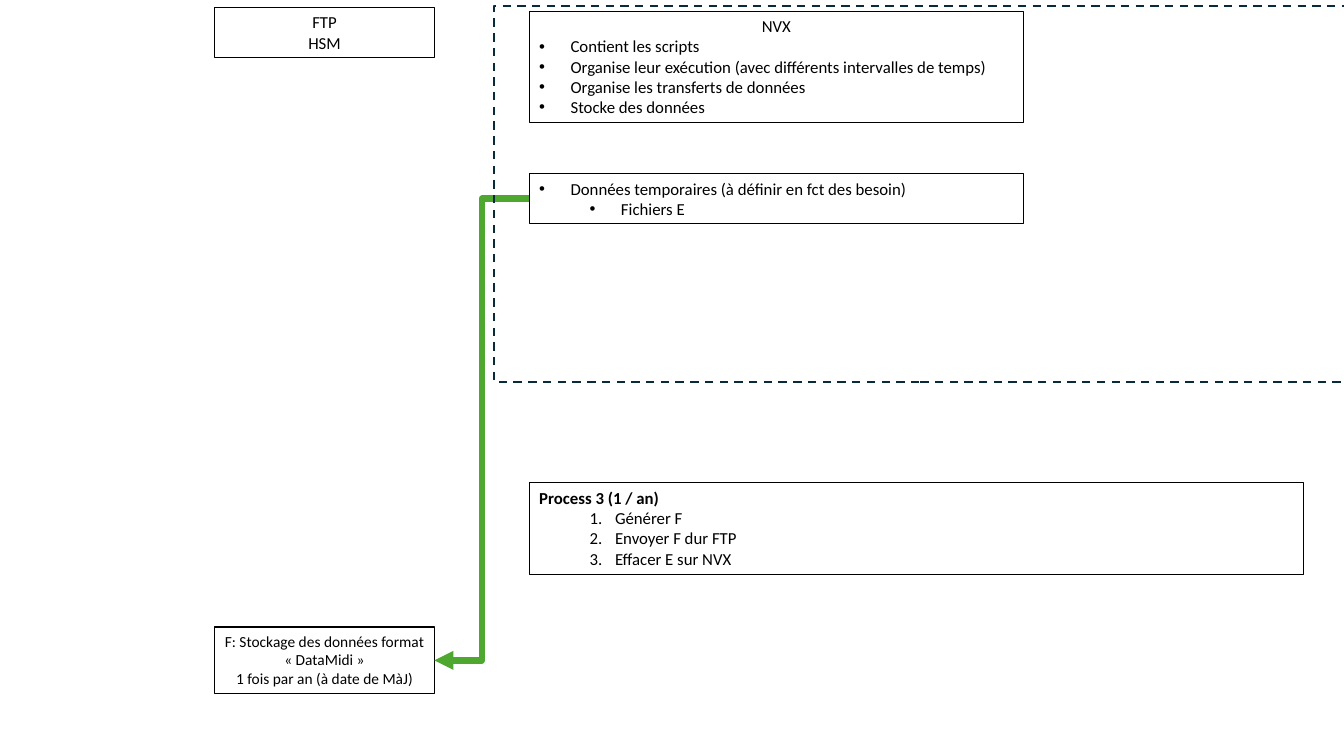
import pptx
import pptx.util
import pptx.dml.color
import pptx.enum.dml
import pptx.enum.shapes
import pptx.enum.text
import pptx.oxml
import pptx.oxml.ns
from pptx.util import Cm

BLACK = pptx.dml.color.RGBColor(0x00, 0x00, 0x00)
NAVY = pptx.dml.color.RGBColor(0x09, 0x2A, 0x39)
GREEN = pptx.dml.color.RGBColor(0x4E, 0xA7, 0x2E)

# Paragraph styles: level, left margin, hanging indent, bullet elements
DOT = [("a:buFont", "typeface", "Arial"), ("a:buChar", "char", "•")]
NUMBER = [("a:buFont", "typeface", "+mj-lt"), ("a:buAutoNum", "type", "arabicPeriod")]
LISTS = {
    "bullet": (0, Cm(0.79), Cm(0.79), DOT),
    "sub-bullet": (1, Cm(2.06), Cm(0.79), DOT),
    "number": (1, Cm(1.91), Cm(0.64), NUMBER),
}


def add_child(parent, tag, **attributes):
    child = pptx.oxml.parse_xml(f"<{tag} {pptx.oxml.ns.nsdecls('a')}/>")
    for name, value in attributes.items():
        child.set(name, value)
    parent.append(child)


def style_list(paragraph, style):
    level, margin, hanging, bullet = LISTS[style]
    paragraph.level = level
    properties = paragraph._p.get_or_add_pPr()
    properties.set("marL", str(margin))
    properties.set("indent", str(-hanging))
    for tag, name, value in bullet:
        add_child(properties, tag, **{name: value})


def add_box(slide, left, top, width, height, lines, size=12):
    """Outlined text box; each line is a (style, text) pair."""
    box = slide.shapes.add_textbox(left, top, width, height)
    box.line.color.rgb = BLACK
    box.line.width = pptx.util.Pt(0.75)
    frame = box.text_frame
    frame.word_wrap = True
    frame.auto_size = pptx.enum.text.MSO_AUTO_SIZE.SHAPE_TO_FIT_TEXT
    for index, (style, text) in enumerate(lines):
        paragraph = frame.add_paragraph() if index else frame.paragraphs[0]
        paragraph.text = text
        if style in LISTS:
            style_list(paragraph, style)
        elif style == "center":
            paragraph.alignment = pptx.enum.text.PP_ALIGN.CENTER
        paragraph.font.name = "Calibri"
        paragraph.font.size = pptx.util.Pt(size)
        paragraph.font.bold = style == "heading"
        paragraph.font.color.rgb = BLACK
    return box


def add_storage_column(slide, left, top, width):
    """File server title and, at the bottom, the yearly storage."""
    add_box(slide, left, top, width, Cm(1.27), [("center", "FTP"), ("center", "HSM")])
    return add_box(slide, left, top + Cm(15.62), width, Cm(1.68), [
        ("center", "F: Stockage des données format «\u00a0DataMidi\u00a0»"),
        ("center", "1 fois par an (à date de MàJ)"),
    ], size=11)


def add_server_column(slide, left, top, width):
    """Role of the server and its temporary data."""
    add_box(slide, left, top, width, Cm(2.82), [
        ("center", "NVX"),
        ("bullet", "Contient les scripts"),
        ("bullet", "Organise leur exécution (avec différents intervalles de temps)"),
        ("bullet", "Organise les transferts de données"),
        ("bullet", "Stocke des données"),
    ])
    return add_box(slide, left, top + Cm(4.09), width, Cm(1.27), [
        ("bullet", "Données temporaires (à définir en fct des besoin)"),
        ("sub-bullet", "Fichiers E"),
    ])


def add_transfer_arrow(slide, source, target):
    arrow = slide.shapes.add_connector(pptx.enum.shapes.MSO_CONNECTOR.ELBOW, 0, 0, 0, 0)
    arrow.begin_connect(source, 1)
    arrow.end_connect(target, 3)
    arrow.line.color.rgb = GREEN
    arrow.line.width = pptx.util.Pt(4.5)
    add_child(arrow.line._get_or_add_ln(), "a:tailEnd", type="triangle")
    add_child(arrow._element.spPr, "a:effectLst")


def add_server_frame(slide, left, top, width, height):
    frame = slide.shapes.add_shape(
        pptx.enum.shapes.MSO_SHAPE.RECTANGLE, left, top, width, height)
    frame.shadow.inherit = False
    frame.fill.background()
    frame.line.color.rgb = NAVY
    frame.line.width = pptx.util.Pt(1.5)
    frame.line.dash_style = pptx.enum.dml.MSO_LINE.DASH


def add_process(slide, left, top, width):
    add_box(slide, left, top, width, Cm(2.31), [
        ("heading", "Process 3 (1 / an)"),
        ("number", "Générer F"),
        ("number", "Envoyer F dur FTP"),
        ("number", "Effacer E sur NVX"),
    ])


def main():
    presentation = pptx.Presentation()
    presentation.slide_width = Cm(33.87)
    presentation.slide_height = Cm(19.05)
    slide = presentation.slides.add_slide(presentation.slide_layouts[6])

    server_left = Cm(13.34)
    storage = add_storage_column(slide, Cm(5.41), Cm(0.18), Cm(5.54))
    temporary_data = add_server_column(slide, server_left, Cm(0.28), Cm(12.45))
    add_transfer_arrow(slide, temporary_data, storage)
    add_server_frame(slide, Cm(12.45), Cm(0.15), Cm(21.44), Cm(9.47))
    add_process(slide, server_left, Cm(12.17), Cm(19.51))

    presentation.save("out.pptx")


if __name__ == "__main__":
    main()
